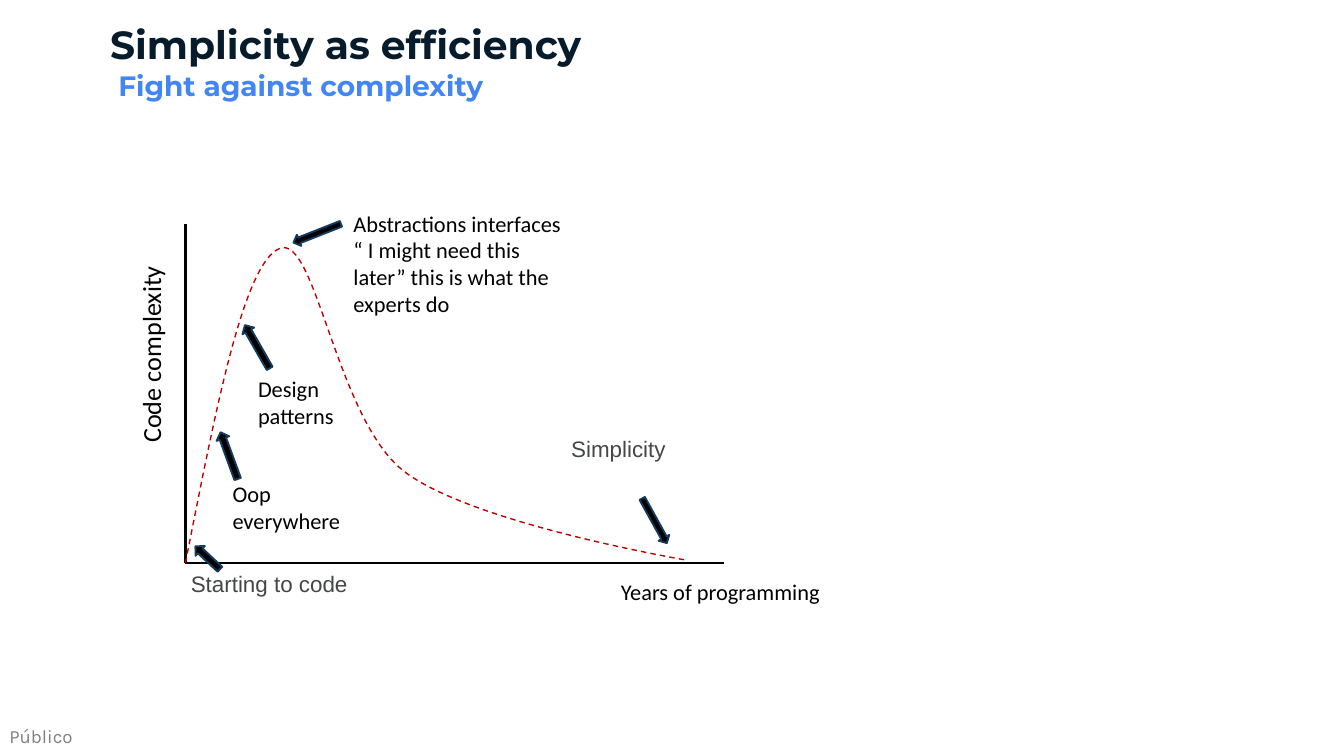
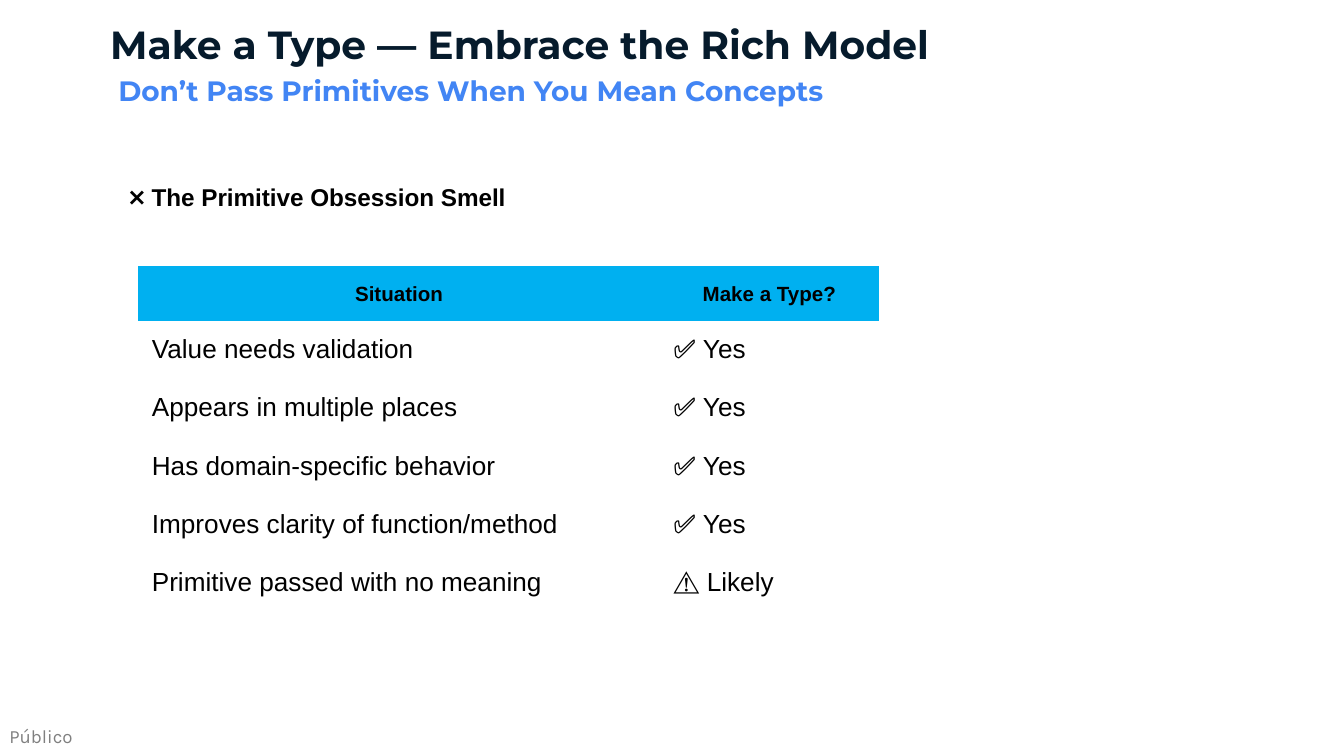
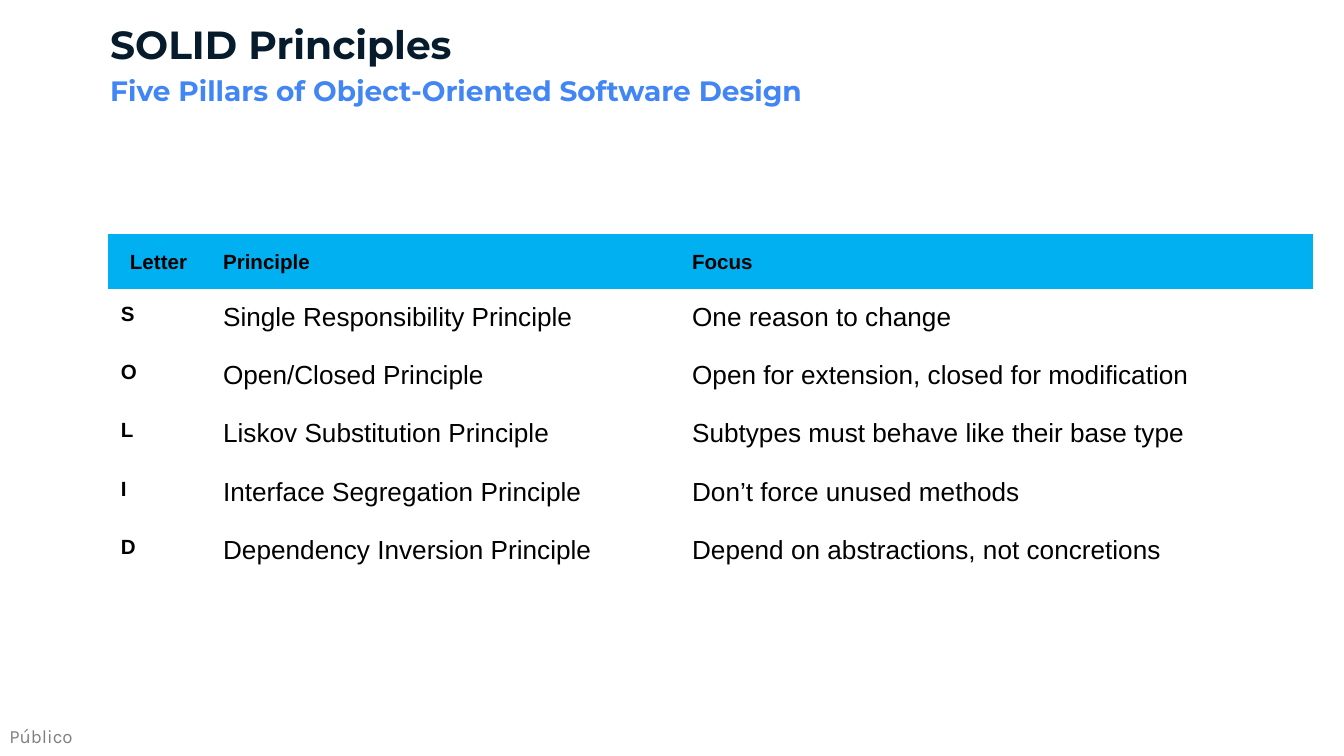
"""Build three slides on simple code: a complexity curve, making types and SOLID."""
import pptx
import pptx.dml.color
import pptx.enum.dml
import pptx.enum.shapes
import pptx.enum.text
import pptx.oxml.ns
import pptx.util
from lxml import etree

Inches, Pt, qn = pptx.util.Inches, pptx.util.Pt, pptx.oxml.ns.qn

COLORS = {
    "white": "FFFFFF", "black": "000000", "title": "061B2C", "subtitle": "4285F4",
    "header": "00B0F0", "curve": "C00000", "gray": "444746", "arrow edge": "153B5F",
}
SLIDE_WIDTH = Inches(10)
SLIDE_HEIGHT = SLIDE_WIDTH * 9 // 16
INSETS = (0.07, 0.04)
CELL_INSET = 0.1
HEADER_HEIGHT, ROW_HEIGHT = 0.41, 0.43
PLAIN_TABLE = "{2D5ABB26-0587-4C30-8999-92F81FD0307C}"

FOOTER = "Público"
HEADINGS = [
    ("Simplicity as efficiency", 4.08, "Fight against complexity", (0.81, 5.02), 1),
    ("Make a Type — Embrace the Rich Model", 6.41,
     "Don’t Pass Primitives When You Mean Concepts", (0.81, 5.85), 1.15),
    ("SOLID Principles", 2.77,
     "Five Pillars of Object-Oriented Software Design", (0.75, 5.52), 1.15),
]

ORIGIN = (1.38, 4.19)
AXIS_ENDS = [(1.38, 1.67), (5.39, 4.19)]
CURVE = [
    [(1.6, 3.08), (1.81, 1.96), (2.08, 1.85)],
    [(2.35, 1.73), (2.5, 3.12), (3.01, 3.51)],
    [(3.52, 3.9), (5.12, 4.17), (5.12, 4.17)],
]
AXIS_LABELS = [
    ("Code complexity", (0.3, 2.39, 1.64, 0.31), 14, 270),
    ("Years of programming", (4.55, 4.26, 1.99, 0.28), 12, 0),
]
STAGES = [
    ("Starting to code", (1.35, 4.2, 2.86, 0.28), "Arial", "gray",
     (1.42, 4.1, 0.25, 0.1), 223.1),
    ("Oop everywhere", (1.66, 3.53, 1.21, 0.48), "Calibri", "black",
     (1.52, 3.34, 0.37, 0.1), 249.9),
    ("Design patterns", (1.85, 2.75, 1, 0.48), "Calibri", "black",
     (1.73, 2.53, 0.37, 0.1), 240.2),
    ("Abstractions interfaces “ I might need this later” this is what the experts do",
     (2.56, 1.52, 1.75, 0.88), "Calibri", "black", (2.17, 1.69, 0.38, 0.09), 158.4),
    ("Simplicity", (4.18, 3.2, 2.86, 0.28), "Arial", "gray",
     (4.68, 3.83, 0.38, 0.09), 61.1),
]

SMELL = "❌ The Primitive Obsession Smell"
TYPE_ROWS = [
    ("Situation", "Make a Type?"),
    ("Value needs validation", "✅ Yes"),
    ("Appears in multiple places", "✅ Yes"),
    ("Has domain-specific behavior", "✅ Yes"),
    ("Improves clarity of function/method", "✅ Yes"),
    ("Primitive passed with no meaning", "⚠️ Likely"),
]
SOLID_ROWS = [
    ("Letter", "Principle", "Focus"),
    ("S", "Single Responsibility Principle", "One reason to change"),
    ("O", "Open/Closed Principle", "Open for extension, closed for modification"),
    ("L", "Liskov Substitution Principle", "Subtypes must behave like their base type"),
    ("I", "Interface Segregation Principle", "Don’t force unused methods"),
    ("D", "Dependency Inversion Principle", "Depend on abstractions, not concretions"),
]


def rgb(name):
    return pptx.dml.color.RGBColor.from_string(COLORS[name])


def write(frame, text, size, font="Arial", color="black", bold=False, spacing=1,
          centered=False):
    frame.text = text
    paragraph = frame.paragraphs[0]
    paragraph.line_spacing = spacing
    align = pptx.enum.text.PP_ALIGN
    paragraph.alignment = align.CENTER if centered else align.LEFT
    for run in paragraph.runs:
        run.font.name, run.font.size, run.font.bold = font, Pt(size), bold
        run.font.color.rgb = rgb(color)


def set_insets(frame, across, down):
    frame.margin_left = frame.margin_right = Inches(across)
    frame.margin_top = frame.margin_bottom = Inches(down)


def add_text(slide, text, place, size, insets=INSETS, rotation=0, **style):
    box = slide.shapes.add_textbox(*map(Inches, place))
    box.rotation = rotation
    box.text_frame.word_wrap = True
    set_insets(box.text_frame, *insets)
    write(box.text_frame, text, size, **style)
    return box


def add_heading(slide, title, width, subtitle, subtitle_span, spacing):
    heading = slide.shapes.title
    heading.left, heading.top = Inches(0.75), Inches(0.11)
    heading.width, heading.height = Inches(width), Inches(0.43)
    frame = heading.text_frame
    frame.word_wrap = True
    frame.auto_size = pptx.enum.text.MSO_AUTO_SIZE.NONE
    frame.vertical_anchor = pptx.enum.text.MSO_ANCHOR.TOP
    set_insets(frame, *INSETS)
    write(frame, title, 21, "Montserrat", "title", bold=True)
    left, subtitle_width = subtitle_span
    add_text(slide, subtitle, (left, 0.47, subtitle_width, 0.33), 15,
             font="Montserrat", color="subtitle", bold=True, spacing=spacing)


def add_footer(slide, layout):
    footer = add_text(slide, FOOTER, (0.07, 5.39, 0.48, 0.17), 10, insets=(0, 0),
                      font="Karla")
    footer.text_frame.word_wrap = False
    for color in footer.element.iter(qn("a:srgbClr")):
        etree.SubElement(color, qn("a:alpha"), val="50000")
    layout.shapes.element.append(footer.element)


def add_axis(slide, end):
    axis = slide.shapes.add_connector(
        pptx.enum.shapes.MSO_CONNECTOR.STRAIGHT, *map(Inches, ORIGIN + end))
    axis.line.color.rgb = rgb("black")
    axis.line.width = Pt(1.5)
    etree.SubElement(axis.element.spPr, qn("a:effectLst"))


def add_curve(slide):
    units = 100
    anchors = [ORIGIN] + [points[-1] for points in CURVE]
    left, top = (min(values) for values in zip(*anchors))
    builder = slide.shapes.build_freeform(
        *(round(value * units) for value in ORIGIN), scale=Inches(1) / units)
    builder.add_line_segments(
        [(round(x * units), round(y * units)) for x, y in anchors[1:]], close=False)
    curve = builder.convert_to_shape()
    curve.shadow.inherit = False
    curve.fill.background()
    curve.line.color.rgb = rgb("curve")
    curve.line.width = Pt(0.75)
    curve.line.dash_style = pptx.enum.dml.MSO_LINE.DASH
    for segment, points in zip(list(curve.element.iter(qn("a:lnTo"))), CURVE):
        segment.tag = qn("a:cubicBezTo")
        for index, (x, y) in enumerate(points[:2]):
            control = etree.Element(qn("a:pt"), x=str(round((x - left) * units)),
                                    y=str(round((y - top) * units)))
            segment.insert(index, control)


def add_arrow(slide, place, rotation):
    arrow = slide.shapes.add_shape(
        pptx.enum.shapes.MSO_SHAPE.RIGHT_ARROW, *map(Inches, place))
    arrow.rotation = rotation
    arrow.shadow.inherit = False
    arrow.fill.solid()
    arrow.fill.fore_color.rgb = rgb("black")
    arrow.line.color.rgb = rgb("arrow edge")
    arrow.line.width = Pt(1)


def add_grid(slide, rows, left, top, widths, centered_heads, bold_first=False):
    height = HEADER_HEIGHT + ROW_HEIGHT * (len(rows) - 1)
    grid = slide.shapes.add_table(
        len(rows), len(widths), *map(Inches, (left, top, sum(widths), height))).table
    grid.horz_banding = False
    for style in grid._tbl.iter(qn("a:tableStyleId")):
        style.text = PLAIN_TABLE
    for column, width in zip(grid.columns, widths):
        column.width = Inches(width)
    for r, row in enumerate(rows):
        grid.rows[r].height = Inches(ROW_HEIGHT if r else HEADER_HEIGHT)
        for c, text in enumerate(row):
            cell = grid.cell(r, c)
            set_insets(cell, CELL_INSET, CELL_INSET)
            strong = r == 0 or (bold_first and c == 0)
            write(cell.text_frame, text, 11 if strong else 14, bold=strong,
                  spacing=1 if r else 1.15, centered=r == 0 and c in centered_heads)
            if r:
                cell.fill.background()
            else:
                cell.fill.solid()
                cell.fill.fore_color.rgb = rgb("header")


def draw_complexity(slide):
    for end in AXIS_ENDS:
        add_axis(slide, end)
    add_curve(slide)
    for text, place, size, rotation in AXIS_LABELS:
        add_text(slide, text, place, size, rotation=rotation, font="Calibri")
    for text, place, font, color, arrow_place, rotation in STAGES:
        add_text(slide, text, place, 12, font=font, color=color)
        add_arrow(slide, arrow_place, rotation)


def draw_types(slide):
    add_text(slide, SMELL, (0.86, 1.22, 3.28, 0.42), 13, insets=(0.1, 0.1),
             bold=True, spacing=1.15)
    add_grid(slide, TYPE_ROWS, 1.03, 1.98, (3.88, 1.63), centered_heads=(0, 1))


def draw_solid(slide):
    add_grid(slide, SOLID_ROWS, 0.8, 1.74, (0.76, 3.49, 4.72), centered_heads=(0,),
             bold_first=True)


def main():
    deck = pptx.Presentation()
    deck.slide_width, deck.slide_height = SLIDE_WIDTH, SLIDE_HEIGHT
    layout = deck.slide_layouts[5]
    background = deck.slide_master.background.fill
    background.solid()
    background.fore_color.rgb = rgb("white")
    for heading, draw in zip(HEADINGS, (draw_complexity, draw_types, draw_solid)):
        slide = deck.slides.add_slide(layout)
        add_heading(slide, *heading)
        draw(slide)
    add_footer(slide, layout)
    deck.save("out.pptx")


if __name__ == "__main__":
    main()
